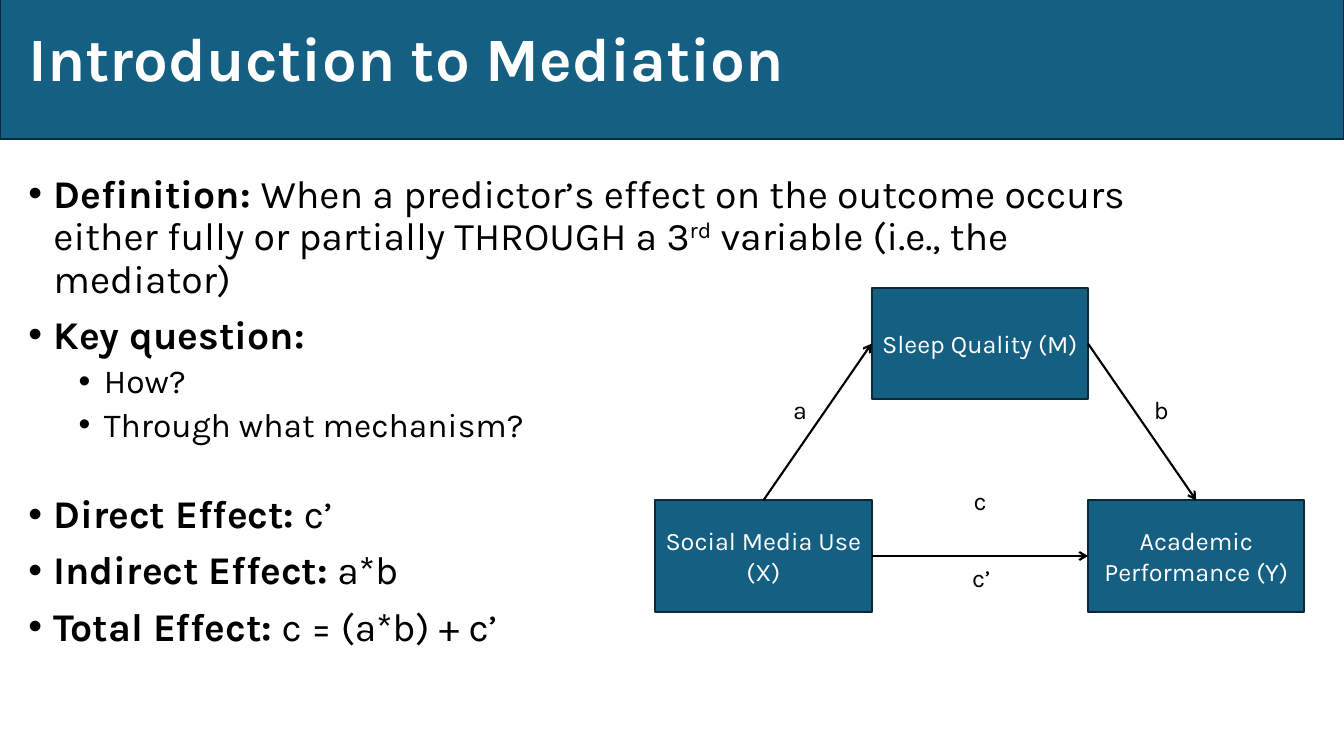
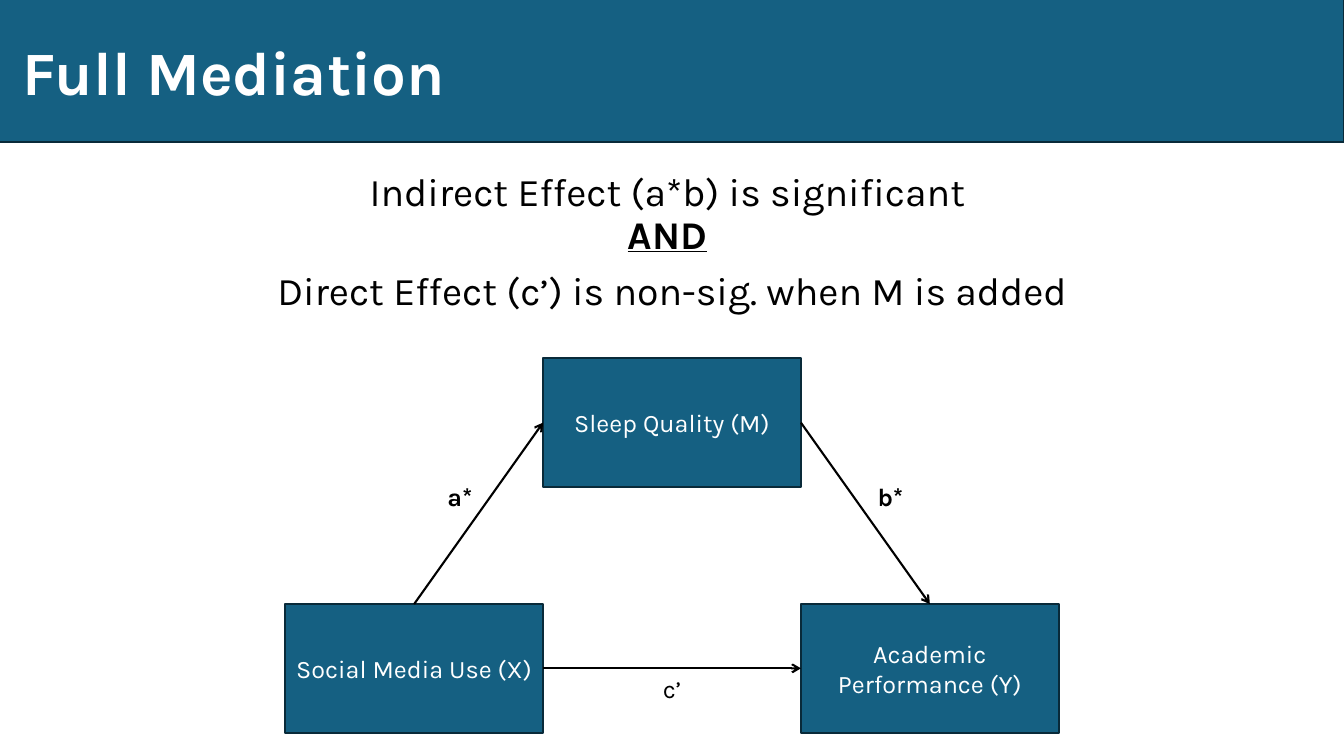
from lxml.etree import SubElement
from pptx import Presentation
from pptx.dml.color import RGBColor
from pptx.enum.shapes import MSO_CONNECTOR, MSO_SHAPE
from pptx.enum.text import MSO_ANCHOR, MSO_AUTO_SIZE, PP_ALIGN
from pptx.oxml.ns import qn
from pptx.util import Pt

FONT, BLUE, NAVY, WHITE, BLACK = "Karla", "156082", "092A39", "FFFFFF", "000000"
BOXES = {"X": "Social Media Use (X)", "M": "Sleep Quality (M)", "Y": "Academic Performance (Y)"}
ARROWS = [("X", 3, "Y", 1), ("X", 0, "M", 1), ("M", 3, "Y", 0)]
LEVELS = {
    "list": dict(size=28, before=10, margin=18, bullet="•"),
    "part": dict(size=28, before=36, margin=18, bullet="•"),
    "sub": dict(size=24, before=5, margin=54, bullet="•"),
    "mid": dict(size=28, before=10, margin=0, bullet=None),
}

SLIDES = [
    dict(
        title="Introduction to Mediation",
        band=(0, -5, 960, 104.4),
        head=(13, -8, 828, 104.4),
        body=(13, 121, 828, 343),
        text=[
            ("list", [("Definition: ", "b"),
                      ("When a predictor’s effect on the outcome occurs either fully or partially THROUGH a 3", ""),
                      ("rd", "s"), (" variable (i.e., the mediator)", "")]),
            ("list", [("Key question:", "b")]),
            ("sub", [("How?", "")]),
            ("sub", [("Through what mechanism?", "")]),
            ("part", [("Direct Effect:", "b"), (" c’", "")]),
            ("list", [("Indirect Effect:", "b"), (" a*b", "")]),
            ("list", [("Total Effect:", "b"), (" c = (a*b) + c’", "")]),
        ],
        model=dict(left=468, top=205.7, drop=151.7, width=154.6, height=79.5),
        labels=[("a", 571.5, 278, False), ("b", 829.5, 278, False),
                ("c", 700, 343, False), ("c’", 701, 398, False)],
    ),
    dict(
        title="Full Mediation",
        band=(-1.5, -3, 961.5, 104.4),
        head=(9, 1.5, 828, 104.4),
        body=(143, 120, 674, 150),
        text=[
            ("mid", [("Indirect Effect (a*b) is significant ", ""), ("\n", ""),
                     ("AND", "bu"), (" ", "")]),
            ("mid", [("Direct Effect (c’) is non-sig. when M is added", "")]),
        ],
        model=dict(left=203.7, top=256, drop=175.5, width=184.2, height=91.8),
        labels=[("a*", 328.5, 340, True), ("b*", 636, 340, True), ("c’", 480, 477.5, False)],
    ),
]


def tint(code):
    return RGBColor.from_string(code)


def style(para, size, color, bold=None, align=PP_ALIGN.LEFT):
    font = para.font
    font.name, font.size, font.bold = FONT, Pt(size), bold
    font.color.rgb = tint(color)
    para.alignment = align


def place(shape, spot):
    shape.left, shape.top, shape.width, shape.height = map(Pt, spot)


def add_box(slide, spot, text=""):
    box = slide.shapes.add_shape(MSO_SHAPE.RECTANGLE, *map(Pt, spot))
    box.shadow.inherit = False
    box.fill.solid()
    box.fill.fore_color.rgb = tint(BLUE)
    box.line.color.rgb = tint(NAVY)
    box.line.width = Pt(1.5)
    if text:
        box.text_frame.text = text
        box.text_frame.vertical_anchor = MSO_ANCHOR.MIDDLE
        style(box.text_frame.paragraphs[0], 18, WHITE, align=PP_ALIGN.CENTER)
    return box


def add_head(slide, data):
    band = add_box(slide, data["band"])
    slide.shapes._spTree.insert(2, band._element)
    title = slide.shapes.title
    place(title, data["head"])
    frame = title.text_frame
    frame.text = data["title"]
    frame.auto_size = MSO_AUTO_SIZE.NONE
    frame.vertical_anchor = MSO_ANCHOR.MIDDLE
    para = frame.paragraphs[0]
    style(para, 44, WHITE, True)
    para.line_spacing = 0.9


def add_run(para, text, marks):
    if text == "\n":
        para.add_line_break()
        return
    run = para.add_run()
    run.text = text
    if "b" in marks:
        run.font.bold = True
    if "u" in marks:
        run.font.underline = True
    if "s" in marks:
        run.font._element.set("baseline", "30000")


def add_body(slide, data):
    body = slide.placeholders[1]
    place(body, data["body"])
    frame = body.text_frame
    frame.auto_size = MSO_AUTO_SIZE.NONE
    for i, (kind, runs) in enumerate(data["text"]):
        para = frame.add_paragraph() if i else frame.paragraphs[0]
        level = LEVELS[kind]
        para.level = int(kind == "sub")
        props = para._p.get_or_add_pPr()
        props.set("marL", str(Pt(level["margin"])))
        props.set("indent", str(Pt(-18 if level["bullet"] else 0)))
        if level["bullet"]:
            SubElement(props, qn("a:buChar")).set("char", level["bullet"])
        else:
            SubElement(props, qn("a:buNone"))
        align = PP_ALIGN.CENTER if kind == "mid" else PP_ALIGN.LEFT
        style(para, level["size"], BLACK, align=align)
        para.line_spacing = 0.9
        para.space_before = Pt(level["before"])
        for text, marks in runs:
            add_run(para, text, marks)


def add_model(slide, left, top, drop, width, height):
    boxes = {}
    for i, (key, text) in enumerate(BOXES.items()):
        down = 0 if key == "M" else drop
        boxes[key] = add_box(slide, (left + i * width, top + down, width, height), text)
    for start, out, end, into in ARROWS:
        arrow = slide.shapes.add_connector(MSO_CONNECTOR.STRAIGHT, 0, 0, 0, 0)
        arrow.begin_connect(boxes[start], out)
        arrow.end_connect(boxes[end], into)
        arrow.line.color.rgb = tint(BLACK)
        arrow.line.width = Pt(1.5)
        SubElement(arrow.line._get_or_add_ln(), qn("a:tailEnd")).set("type", "arrow")
        SubElement(arrow._element.spPr, qn("a:effectLst"))


def add_label(slide, text, mid, top, bold):
    wide = 34
    label = slide.shapes.add_textbox(Pt(mid - wide / 2), Pt(top), Pt(wide), Pt(29))
    label.text_frame.word_wrap = False
    label.text_frame.text = text
    style(label.text_frame.paragraphs[0], 18, BLACK, bold, PP_ALIGN.CENTER)


def main():
    deck = Presentation()
    deck.slide_width, deck.slide_height = Pt(960), Pt(540)
    for data in SLIDES:
        slide = deck.slides.add_slide(deck.slide_layouts[1])
        add_head(slide, data)
        add_body(slide, data)
        add_model(slide, **data["model"])
        for label in data["labels"]:
            add_label(slide, *label)
    deck.save("out.pptx")


if __name__ == "__main__":
    main()
